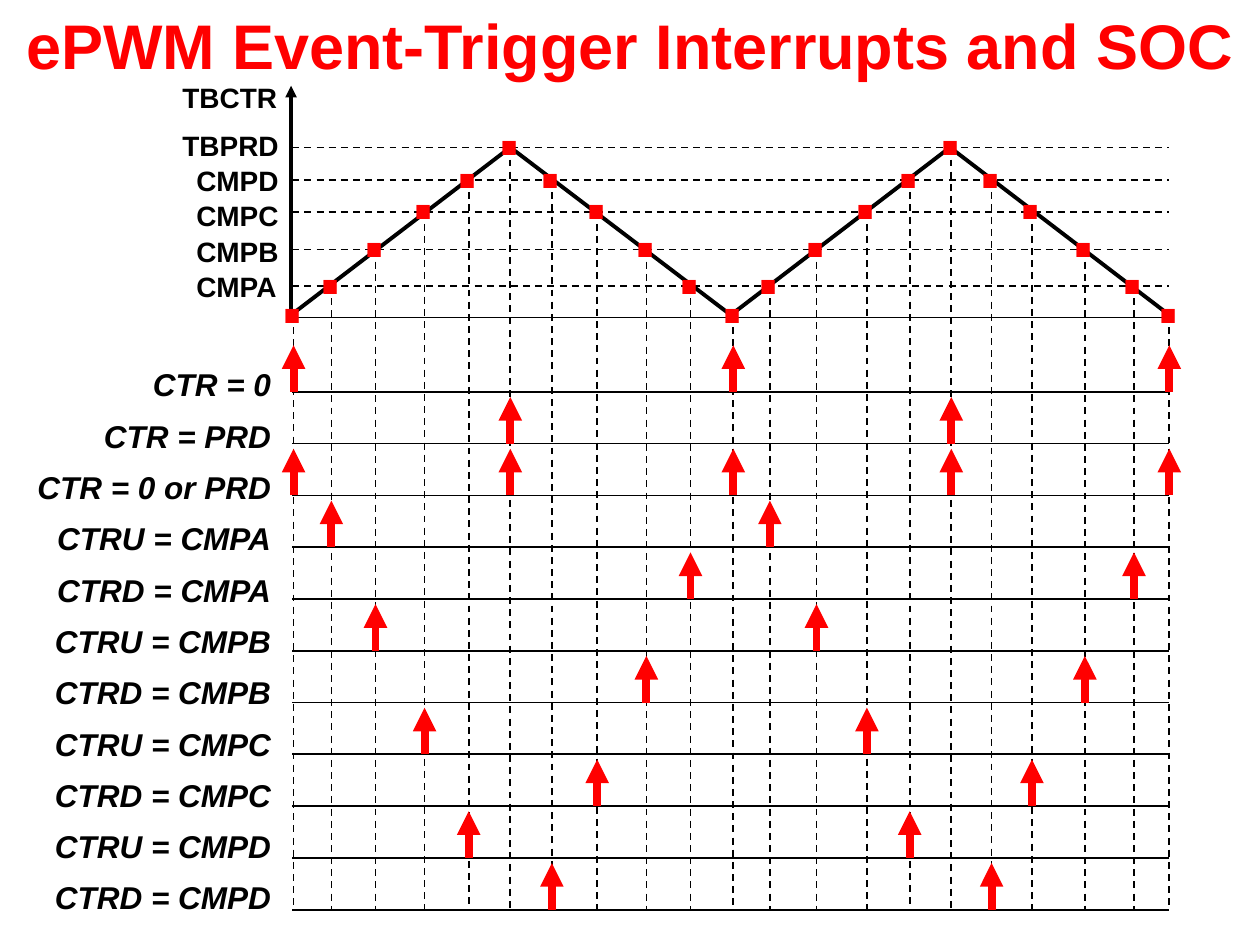
"""Builds the ePWM event-trigger timing slide."""
from dataclasses import dataclass

from lxml import etree
from pptx import Presentation, util as u
from pptx.dml.color import RGBColor
from pptx.enum import dml, shapes, text
from pptx.oxml.ns import qn


@dataclass(frozen=True)
class Theme:
    font: str = "Arial"
    ink: RGBColor = RGBColor(0, 0, 0)
    accent: RGBColor = RGBColor(255, 0, 0)
    title: int = 36
    level: int = 16
    event: int = 18
    marker: int = 54
    thin: float = 1
    wave: float = 2.25
    trigger: float = 4.5
    spacing: float = 0.8


theme = Theme()
deck = Presentation()
deck.slide_width, deck.slide_height = u.Inches(10), u.Inches(7.5)
page = deck.slides.add_slide(deck.slide_layouts[5])


def draw_line(start, end, width=theme.thin, color=theme.ink, dashed=False, arrow=False):
    ends = [u.Inches(length) for length in (*start, *end)]
    line = page.shapes.add_connector(shapes.MSO_CONNECTOR.STRAIGHT, *ends)
    line.line.width = u.Pt(width)
    line.line.color.rgb = color
    if dashed:
        line.line.dash_style = dml.MSO_LINE.DASH
    if arrow:
        etree.SubElement(line.line._get_or_add_ln(), qn("a:tailEnd"), type="triangle")
    etree.SubElement(line._element.spPr, qn("a:effectLst"))


def write_text(wording, place, size, color=theme.ink, align=text.PP_ALIGN.LEFT, italic=None):
    box = page.shapes.add_textbox(*[u.Inches(length) for length in place])
    box.text_frame.word_wrap = False
    box.text_frame.auto_size = text.MSO_AUTO_SIZE.SHAPE_TO_FIT_TEXT
    box.text_frame.text = wording
    para = box.text_frame.paragraphs[0]
    para.alignment, para.line_spacing = align, theme.spacing
    font = para.runs[0].font
    font.name, font.size, font.bold, font.italic = theme.font, u.Pt(size), True, italic
    font.color.rgb = color


title = page.shapes.title
title.left, title.top, title.width, title.height = 0, 0, deck.slide_width, u.Inches(0.81)
title.text_frame.text = "ePWM Event-Trigger Interrupts and SOC"
title.text_frame.word_wrap = True
title.text_frame.auto_size = text.MSO_AUTO_SIZE.NONE
title.text_frame.vertical_anchor = text.MSO_ANCHOR.MIDDLE
heading = title.text_frame.paragraphs[0]
heading.alignment, heading.line_spacing = text.PP_ALIGN.CENTER, theme.spacing
span = heading.runs[0]
span.font.name, span.font.size, span.font.bold = theme.font, u.Pt(theme.title), True
span.font.color.rgb = theme.accent

left, right = 2.32, 9.28
axis, bottom = 2.52, 7.22
level_heights = [2.5, 2.27, 1.98, 1.68, 1.43, 1.17]
peak = len(level_heights) - 1
period = 2 * peak
columns = [2.33, 2.63, 2.98, 3.37, 3.72, 4.05, 4.38, 4.74, 5.13, 5.48, 5.82,
           6.11, 6.48, 6.88, 7.22, 7.55, 7.87, 8.19, 8.61, 9, 9.28]
points = [(x, level_heights[peak - abs(peak - step % period)])
          for step, x in enumerate(columns)]

for height in level_heights[1:]:
    draw_line((left, height), (right, height), dashed=True)
for x, height in points:
    draw_line((x, height), (x, bottom), dashed=True)

draw_line((left, axis), (right, axis))
draw_line((2.31, 2.5), (2.31, 0.68), theme.wave, arrow=True)
turns = [(2.31, 2.5), (4.05, 1.17), (5.8, 2.5), (7.54, 1.17), (9.28, 2.5)]
for start, end in zip(turns, turns[1:]):
    draw_line(start, end, theme.wave)

for name, top in [("TBCTR", 0.64), ("TBPRD", 1.02)]:
    write_text(name, (1.35, top, 1, 0.31), theme.level)
for row, name in enumerate(["CMPD", "CMPC", "CMPB", "CMPA"]):
    write_text(name, (1.46, 1.3 + 0.28 * row, 0.89, 0.31), theme.level)

events = [("CTR = 0", [0]), ("CTR = PRD", [peak]), ("CTR = 0 or PRD", [0, peak])]
for order, compare in enumerate("ABCD", start=1):
    events.append((f"CTRU = CMP{compare}", [order]))
    events.append((f"CTRD = CMP{compare}", [period - order]))

first_line, first_label, last_label = 3.11, 2.91, 6.98
gaps = len(events) - 1
for row, (name, phases) in enumerate(events):
    baseline = first_line + row * (bottom - first_line) / gaps
    label_top = first_label + row * (last_label - first_label) / gaps
    write_text(name, (0.15, label_top, 2.1, 0.34), theme.event,
               align=text.PP_ALIGN.RIGHT, italic=True)
    draw_line((left, baseline), (right, baseline))
    for step, x in enumerate(columns):
        if step % period in phases:
            draw_line((x, baseline), (x, baseline - 0.37), theme.trigger,
                      theme.accent, arrow=True)

for x, height in points:
    write_text(".", (x - 0.21, height - 0.56, 0.39, 0.83), theme.marker, theme.accent)

deck.save("out.pptx")
